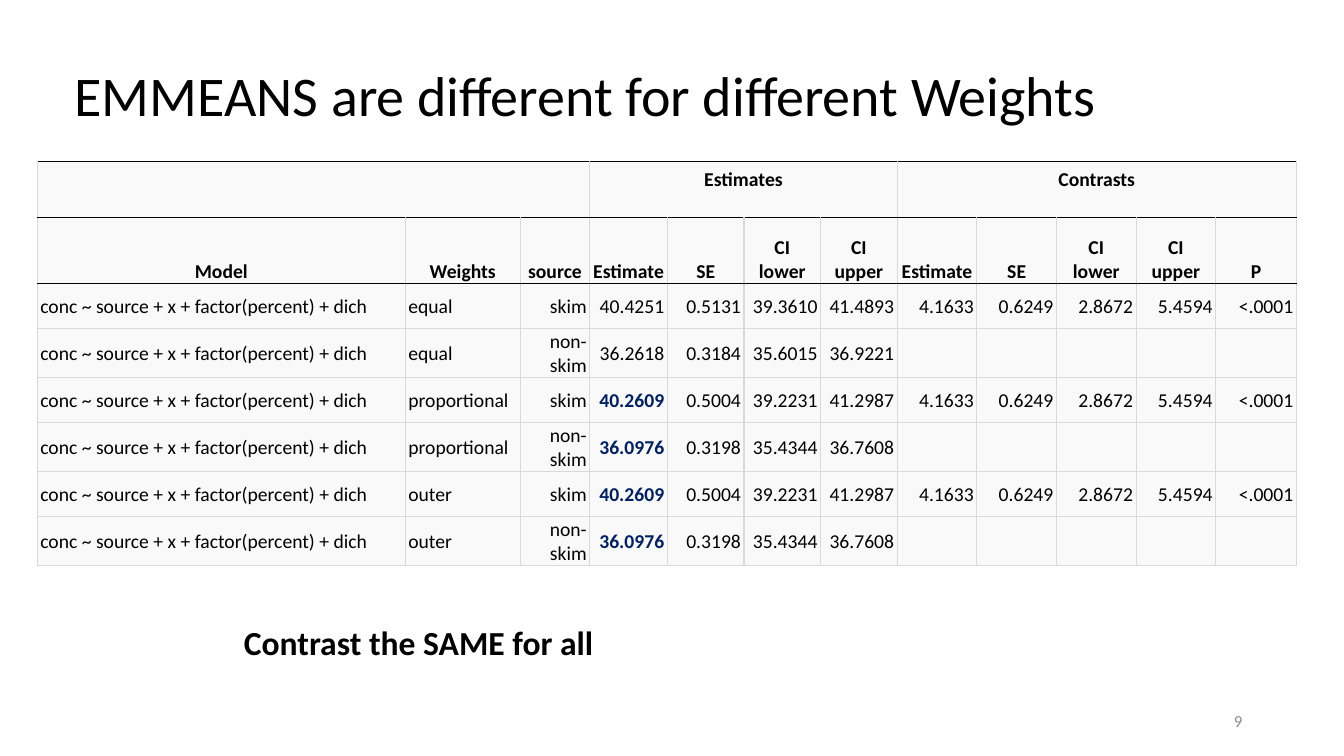
from dataclasses import dataclass

from lxml import etree
from pptx import Presentation
from pptx.dml.color import RGBColor
from pptx.enum.text import MSO_ANCHOR as Anchor, PP_ALIGN as Align
from pptx.oxml.ns import qn
from pptx.util import Inches, Pt

FONT = "Calibri"
BLACK, NAVY, GREY = "000000", "002060", "8C8C8C"
RULE, CELL_FILL = "D9D9D9", "F9F9F9"
MODEL = "conc ~ source + x + factor(percent) + dich"
CONTRAST = ["4.1633", "0.6249", "2.8672", "5.4594", "<.0001"]
COL_WIDTHS = [3.65, 1.14, 0.69, 0.77] + [0.76] * 3 + [0.79] * 4 + [0.8]
ROW_HEIGHTS = [0.56, 0.65] + [0.45] * 6
INTERVAL = ["Estimate", "SE", "CI\nlower", "CI\nupper"]
HEADINGS = ["Model", "Weights", "source", *INTERVAL, *INTERVAL, "P"]


@dataclass
class Group:
    first: int
    last: int
    label: str


@dataclass
class Weighting:
    name: str
    skim: list[str]
    non_skim: list[str]
    highlighted: bool = True


GROUPS = [Group(0, 2, ""), Group(3, 6, "Estimates"), Group(7, 11, "Contrasts")]
CENTRED_SKIM = ["40.2609", "0.5004", "39.2231", "41.2987"]
CENTRED_NON_SKIM = ["36.0976", "0.3198", "35.4344", "36.7608"]
WEIGHTINGS = [
    Weighting("equal", ["40.4251", "0.5131", "39.3610", "41.4893"],
              ["36.2618", "0.3184", "35.6015", "36.9221"], False),
    Weighting("proportional", CENTRED_SKIM, CENTRED_NON_SKIM),
    Weighting("outer", CENTRED_SKIM, CENTRED_NON_SKIM),
]


def rgb(value: str) -> RGBColor:
    return RGBColor.from_string(value)


def write(tf, text: str, size: float, color: str = BLACK, bold: bool = False,
          align: Align = Align.LEFT) -> None:
    """Fill a text frame, one paragraph for each line of text."""
    for i, line in enumerate(text.split("\n")):
        p = tf.add_paragraph() if i else tf.paragraphs[0]
        p.alignment = align
        r = p.add_run()
        r.text = line
        r.font.name, r.font.size, r.font.bold = FONT, Pt(size), bold
        r.font.color.rgb = rgb(color)


def set_borders(cell, top: str, bottom: str) -> None:
    tc_pr = cell._tc.get_or_add_tcPr()
    sides = {"lnL": RULE, "lnR": RULE, "lnT": top, "lnB": bottom}
    for tag, color in sides.items():
        ln = etree.SubElement(tc_pr, qn(f"a:{tag}"), w=str(Pt(1)))
        fill = etree.SubElement(ln, qn("a:solidFill"))
        etree.SubElement(fill, qn("a:srgbClr"), val=color)


def style_cell(cell, row: int) -> None:
    set_borders(cell, BLACK if row <= 2 else RULE, BLACK if row < 2 else RULE)
    cell.fill.solid()
    cell.fill.fore_color.rgb = rgb(CELL_FILL)
    if row == 0:
        cell.margin_left = cell.margin_right = Inches(0.14)
        cell.margin_top = cell.margin_bottom = Inches(0.07)
        return
    cell.vertical_anchor = Anchor.BOTTOM if row == 1 else Anchor.MIDDLE
    cell.margin_left = cell.margin_right = Inches(0.02 if row == 1 else 0.03)
    cell.margin_top, cell.margin_bottom = Inches(0.01), 0


def add_results_table(s) -> None:
    table = s.shapes.add_table(len(ROW_HEIGHTS), len(COL_WIDTHS), Inches(0.37),
                               Inches(1.6), Inches(12.49), Inches(4)).table
    table.first_row = table.horz_banding = False
    for column, width in zip(table.columns, COL_WIDTHS):
        column.width = Inches(width)
    for r, height in enumerate(ROW_HEIGHTS):
        table.rows[r].height = Inches(height)
        for cell in table.rows[r].cells:
            style_cell(cell, r)

    for group in GROUPS:
        cell = table.cell(0, group.first)
        cell.merge(table.cell(0, group.last))
        if group.label:
            write(cell.text_frame, group.label, 14, bold=True, align=Align.CENTER)
    for c, heading in enumerate(HEADINGS):
        write(table.cell(1, c).text_frame, heading, 14, bold=True, align=Align.CENTER)

    for i, w in enumerate(WEIGHTINGS):
        pair = [["skim", *w.skim, *CONTRAST], ["non-skim", *w.non_skim]]
        for j, values in enumerate(pair):
            for c, text in enumerate([MODEL, w.name, *values]):
                strong = w.highlighted and c == 3
                write(table.cell(2 + 2 * i + j, c).text_frame, text, 14,
                      NAVY if strong else BLACK, strong,
                      Align.LEFT if c < 2 else Align.RIGHT)


def add_text(s, left: float, top: float, width: float, height: float):
    box = s.shapes.add_textbox(Inches(left), Inches(top), Inches(width), Inches(height))
    box.text_frame.word_wrap = True
    return box.text_frame


def main() -> None:
    prs = Presentation()
    prs.slide_width, prs.slide_height = Inches(13.33), Inches(7.5)
    s = prs.slides.add_slide(prs.slide_layouts[5])
    add_results_table(s)

    title = s.shapes.title
    title.left, title.top = Inches(0.64), Inches(0.25)
    title.width, title.height = Inches(11.5), Inches(1.45)
    title.text_frame.vertical_anchor = Anchor.MIDDLE
    write(title.text_frame, "EMMEANS are different for different Weights", 40)
    title.text_frame.paragraphs[0].line_spacing = 0.9

    write(add_text(s, 2.32, 6.12, 8.69, 0.5), "Contrast the SAME for all", 24, bold=True)
    tf = add_text(s, 9.42, 6.95, 3, 0.4)
    tf.vertical_anchor = Anchor.MIDDLE
    write(tf, "9", 12, GREY, align=Align.RIGHT)
    prs.save("out.pptx")


if __name__ == "__main__":
    main()
